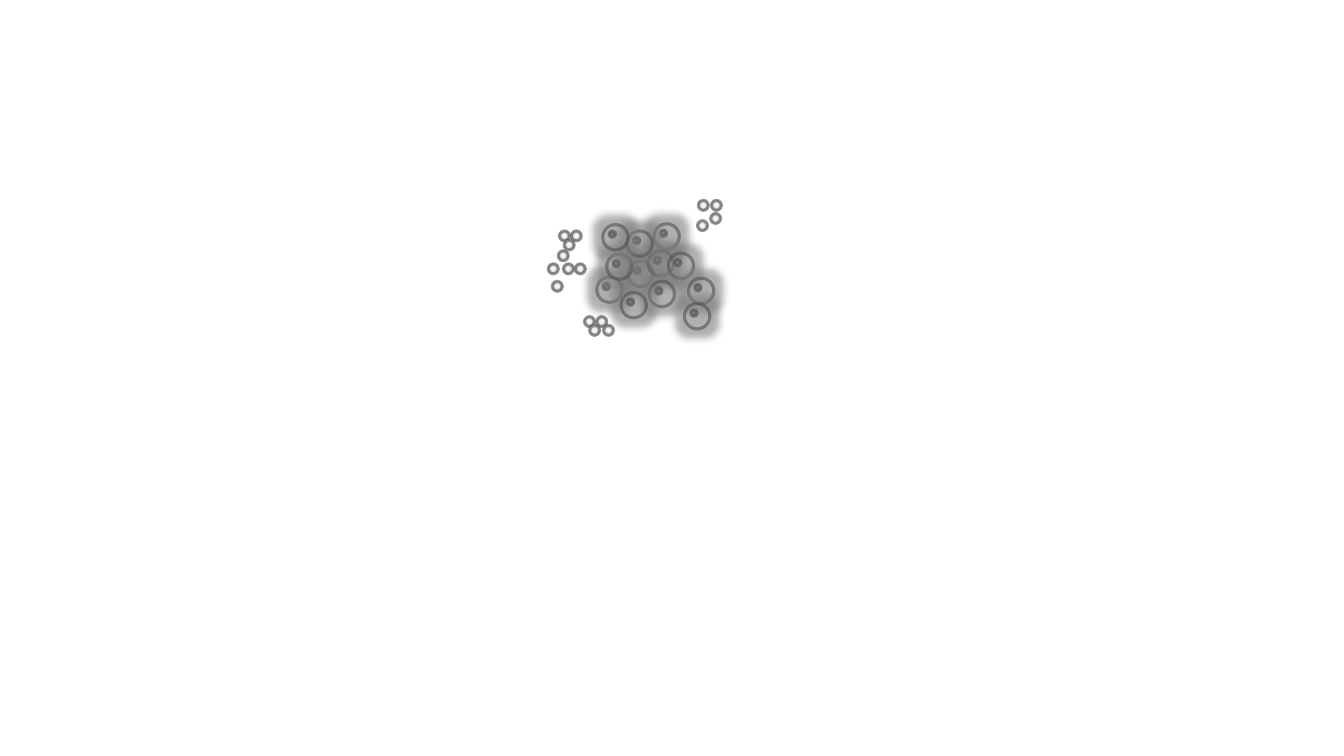
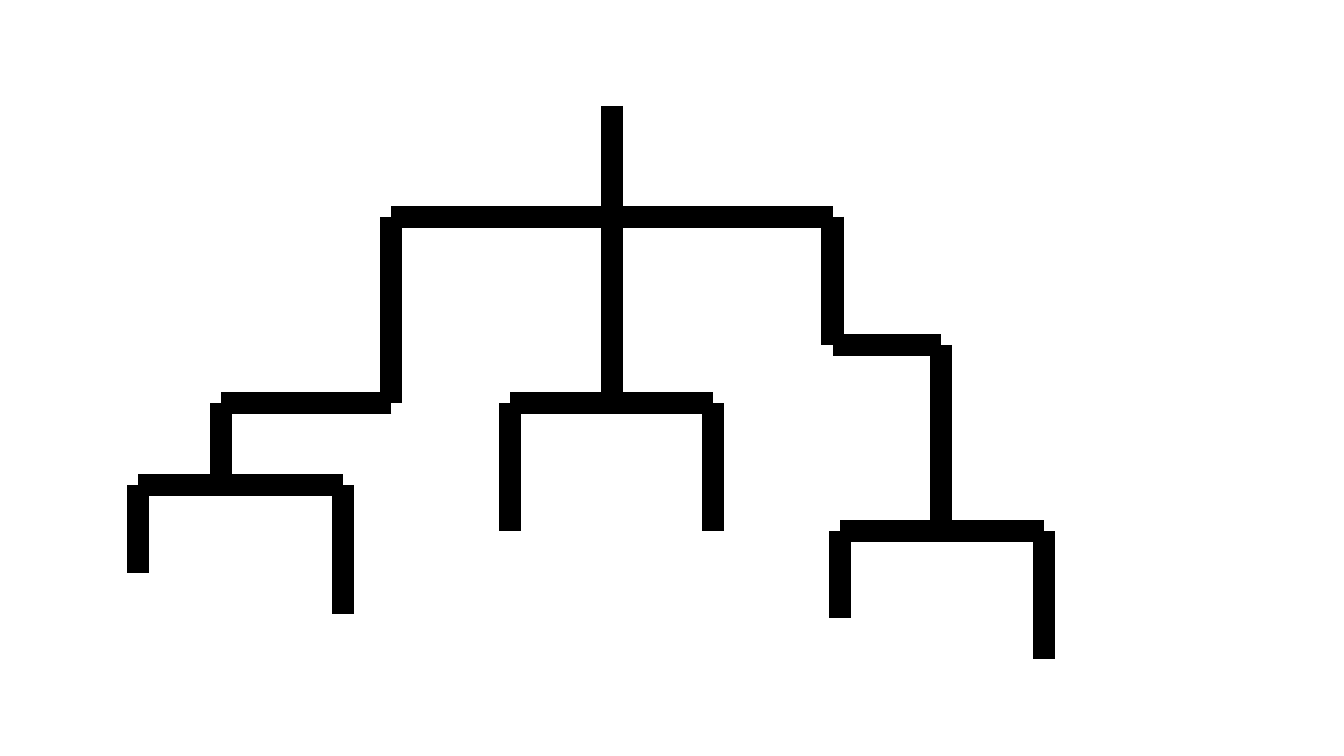
"""Build two slides: a cluster of cells with granules, and a branching tree."""
from lxml import etree
from pptx import Presentation
from pptx import util as u
from pptx.dml.color import RGBColor
from pptx.enum import shapes
from pptx.oxml import ns

COLORS = {"outline": "525252", "nucleus": "7C7C7C", "glow": "7C7C7C",
          "center": "FFFFFF", "middle": "C9C9C9", "rim": "7C7C7C", "branch": "000000"}
CELL, NUCLEUS, NUCLEUS_OFFSET, GRANULE = 0.64, 0.16, 0.16, 0.25


def add_xml(parent, tag, **attributes):
    return etree.SubElement(parent, ns.qn(tag), attributes)


def add_circle(slide, left, top, size):
    shape = slide.shapes.add_shape(shapes.MSO_SHAPE.OVAL, u.Cm(left), u.Cm(top), u.Cm(size), u.Cm(size))
    shape.shadow.inherit = False
    shape.fill.background()
    shape.line.color.rgb = RGBColor.from_string(COLORS["outline"])
    shape.line.width = u.Pt(2.25)
    add_xml(shape.line._ln.find(".//" + ns.qn("a:srgbClr")), "a:alpha", val="60000")
    return shape


presentation = Presentation()
presentation.slide_width, presentation.slide_height = u.Cm(33.87), u.Cm(19.05)
blank = presentation.slide_layouts[6]

cell_slide = presentation.slides.add_slide(blank)
cells = [(15.82, 6.58), (15.04, 6.98), (16.48, 5.64), (16.33, 6.32), (15.29, 6.4), (15.8, 5.82),
         (16.84, 6.38), (16.36, 7.09), (15.65, 7.37), (15.19, 5.66), (17.35, 7.01), (17.25, 7.65)]
for left, top in cells:
    cell = add_circle(cell_slide, left, top, CELL)
    effects = cell._element.spPr.find(ns.qn("a:effectLst"))
    glow = add_xml(effects, "a:glow", rad=str(u.Pt(11)))
    glow_color = add_xml(glow, "a:srgbClr", val=COLORS["glow"])
    add_xml(glow_color, "a:alpha", val="60000")
    nucleus = add_circle(cell_slide, left + NUCLEUS_OFFSET, top + NUCLEUS_OFFSET, NUCLEUS)
    nucleus.fill.solid()
    nucleus.fill.fore_color.rgb = RGBColor.from_string(COLORS["nucleus"])

granules = [(14.4, 5.82), (14.1, 5.82), (14.22, 6.05), (14.07, 6.32),
            (17.93, 5.05), (17.6, 5.05), (17.91, 5.38), (17.58, 5.56),
            (14.5, 6.65), (14.2, 6.65), (13.92, 7.09), (13.82, 6.65),
            (15.04, 7.98), (14.73, 7.98), (14.86, 8.2), (15.21, 8.2)]
for left, top in granules:
    granule = add_circle(cell_slide, left, top, GRANULE)
    granule.fill.gradient()
    gradient = granule._element.spPr.find(ns.qn("a:gradFill"))
    for child in list(gradient):
        gradient.remove(child)
    stops = add_xml(gradient, "a:gsLst")
    for position, name in ((0, "center"), (79, "middle"), (100, "rim")):
        stop = add_xml(stops, "a:gs", pos=str(position * 1000))
        add_xml(stop, "a:srgbClr", val=COLORS[name])
    radial = add_xml(gradient, "a:path", path="circle")
    add_xml(radial, "a:fillToRect", l="50000", t="50000", r="50000", b="50000")

tree_slide = presentation.slides.add_slide(blank)
branches = [(15.42, 2.67, 15.42, 10.16), (23.72, 8.69, 23.72, 13.39), (5.56, 10.16, 5.56, 12.22),
            (9.86, 10.16, 5.56, 10.16), (23.72, 8.69, 20.98, 8.69)]
forks = [(9.86, 20.98, 5.46, 10.16, 8.69), (3.48, 8.64, 12.22, 14.43, 15.47),
         (12.85, 17.98, 10.16, 13.39, 13.39), (21.16, 26.31, 13.39, 15.57, 16.61)]
for left, right, top, left_end, right_end in forks:
    branches += [(right, top, left, top), (right, top, right, right_end), (left, top, left, left_end)]
for ends in branches:
    branch = tree_slide.shapes.add_connector(shapes.MSO_CONNECTOR.STRAIGHT, *map(u.Cm, ends))
    branch.line.color.rgb = RGBColor.from_string(COLORS["branch"])
    branch.line.width = u.Pt(15.75)
    add_xml(branch._element.spPr, "a:effectLst")

presentation.save("out.pptx")
